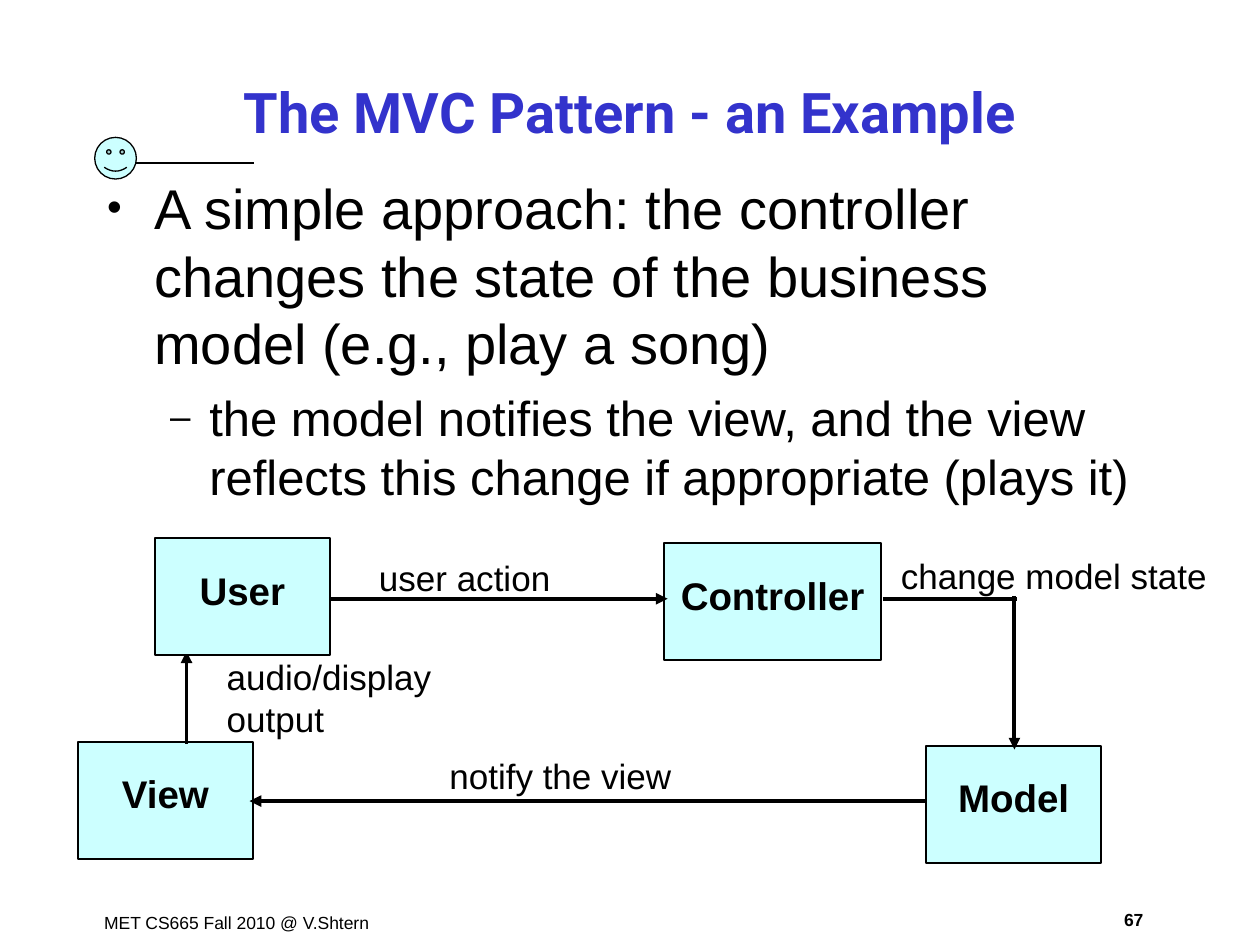
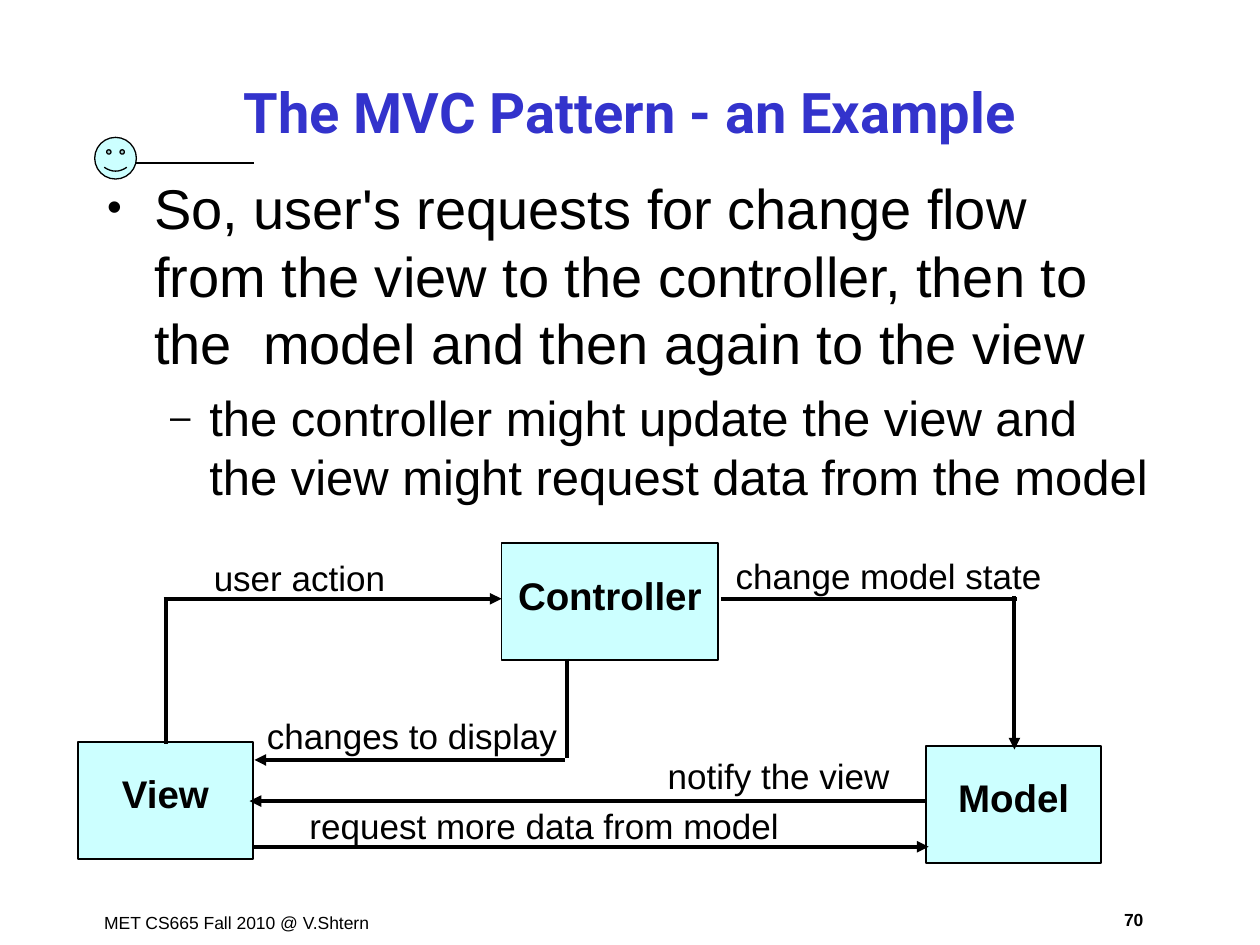
"""Build two slides that explain the MVC pattern with flow diagrams."""
import dataclasses
import typing

import lxml.etree
import pptx
import pptx.dml.color
import pptx.enum.shapes
import pptx.enum.text
import pptx.oxml.ns
import pptx.util

Cm = pptx.util.Cm
Pt = pptx.util.Pt
qn = pptx.oxml.ns.qn
SHAPE = pptx.enum.shapes.MSO_SHAPE
ALIGN = pptx.enum.text.PP_ALIGN
ANCHOR = pptx.enum.text.MSO_ANCHOR

COLORS = {"ink": "000000", "title": "3333CC", "fill": "CCFFFF"}
BODY_FONT = "Arial"
TITLE_FONT = "Roboto"
TITLE = "The MVC Pattern - an Example"
FOOTER = "MET CS665 Fall 2010 @ V.Shtern"
NODE_WIDTH, NODE_HEIGHT = 3.53, 2.36
CONTROLLER_WIDTH = 4.37
LABEL_HEIGHT = 1.12
ACTION_Y = 12.07
NOTIFY_Y = 16.15


@dataclasses.dataclass(frozen=True)
class Node:
    text: str
    left: float
    top: float
    width: float = NODE_WIDTH


@dataclasses.dataclass(frozen=True)
class Flow:
    start: tuple[float, float]
    end: tuple[float, float]
    arrow: bool = True


@dataclasses.dataclass(frozen=True)
class Label:
    text: str
    left: float
    top: float
    width: float
    height: float = LABEL_HEIGHT


@dataclasses.dataclass(frozen=True)
class Bullet:
    level: int
    mark: str
    size: float
    margin: float
    hanging: float
    before: float


@dataclasses.dataclass(frozen=True)
class Page:
    number: str
    points: tuple[str, str]
    diagram: tuple[Node | Flow | Label, ...]


BULLETS = (
    Bullet(0, "\u2022", 32, 0.95, 0.95, 8),
    Bullet(1, "\u2013", 28, 2.06, 0.79, 7),
)
VIEW = Node("View", 1.57, 14.96)
MODEL = Node("Model", 18.67, 15.04)
USER = Node("User", 3.12, 10.85)
MODEL_ENTRY = Flow((20.45, 12.01), (20.45, 15.11))
NOTIFY = Flow((18.67, NOTIFY_Y), (5.03, NOTIFY_Y))


def controller(left: float) -> Node:
    return Node("Controller", left, 10.95, CONTROLLER_WIDTH)


def user_action(left: float) -> Label:
    return Label("user action", left, 11.1, 4.37)


def change_state(left: float) -> Label:
    return Label("change model state", left, 11.05, 7.37)


def notify_view(left: float) -> Label:
    return Label("notify the view", left, 15.09, 5.92)


PAGES = (
    Page(
        "67",
        (
            "A simple approach: the controller changes the state of the "
            "business model (e.g., play a song)",
            "the model notifies the view, and the view reflects this change "
            "if appropriate (plays it)",
        ),
        (
            VIEW,
            controller(13.39),
            MODEL,
            Flow((3.76, 14.99), (3.76, 13.13)),
            Flow((6.63, ACTION_Y), (13.46, ACTION_Y)),
            user_action(7.39),
            Flow((17.81, ACTION_Y), (20.5, ACTION_Y), arrow=False),
            MODEL_ENTRY,
            change_state(17.91),
            NOTIFY,
            notify_view(8.81),
            USER,
            Label("audio/display output", 4.32, 13.08, 5.92, 1.96),
        ),
    ),
    Page(
        "70",
        (
            "So, user's requests for change flow from the view to the "
            "controller, then to the  model and then again to the view",
            "the controller might update the view and the view might request "
            "data from the model",
        ),
        (
            VIEW,
            controller(10.11),
            MODEL,
            Flow((3.35, 14.99), (3.35, ACTION_Y), arrow=False),
            Flow((3.3, ACTION_Y), (10.11, ACTION_Y)),
            user_action(4.06),
            Flow((11.43, 13.28), (11.43, 15.29), arrow=False),
            Flow((11.38, 15.32), (5.13, 15.32)),
            Label("changes to display", 5.13, 14.27, 6.53),
            Flow((14.53, ACTION_Y), (20.5, ACTION_Y), arrow=False),
            MODEL_ENTRY,
            change_state(14.58),
            NOTIFY,
            notify_view(13.21),
            Flow((5.08, 17.07), (18.72, 17.07)),
            Label("request more data from model", 5.99, 16.1, 10.31),
        ),
    ),
)


def rgb(name: str) -> pptx.dml.color.RGBColor:
    return pptx.dml.color.RGBColor.from_string(COLORS[name])


def add_span(para: typing.Any, text: str, size: float, bold: bool = False,
             font: str = BODY_FONT, color: str = "ink") -> None:
    span = para.add_run()
    span.text = text
    span.font.name = font
    span.font.size = Pt(size)
    span.font.bold = bold
    span.font.color.rgb = rgb(color)


def add_textbox(slide: typing.Any, label: Label) -> typing.Any:
    box = slide.shapes.add_textbox(
        Cm(label.left), Cm(label.top), Cm(label.width), Cm(label.height))
    box.text_frame.word_wrap = True
    return box.text_frame


def add_text(slide: typing.Any, label: Label, size: float, before: float,
             bold: bool = False, align: ALIGN = ALIGN.LEFT) -> None:
    para = add_textbox(slide, label).paragraphs[0]
    para.alignment = align
    para.space_before = Pt(before)
    add_span(para, label.text, size, bold)


def add_filled_shape(slide: typing.Any, kind: SHAPE, left: float, top: float,
                     width: float, height: float, weight: float) -> typing.Any:
    shape = slide.shapes.add_shape(kind, Cm(left), Cm(top), Cm(width), Cm(height))
    shape.shadow.inherit = False
    shape.fill.solid()
    shape.fill.fore_color.rgb = rgb("fill")
    shape.line.color.rgb = rgb("ink")
    shape.line.width = Pt(weight)
    return shape


def add_node(slide: typing.Any, node: Node) -> None:
    shape = add_filled_shape(slide, SHAPE.RECTANGLE, node.left, node.top,
                             node.width, NODE_HEIGHT, 1)
    frame = shape.text_frame
    frame.word_wrap = True
    frame.vertical_anchor = ANCHOR.TOP
    frame.margin_top = Cm(0.64)
    para = frame.paragraphs[0]
    para.alignment = ALIGN.CENTER
    para.line_spacing = 0.95
    para.space_before = Pt(5.5)
    add_span(para, node.text, 22, bold=True)


def add_flow(slide: typing.Any, flow: Flow, weight: float = 2.25) -> None:
    line = slide.shapes.add_connector(
        pptx.enum.shapes.MSO_CONNECTOR.STRAIGHT,
        *(Cm(value) for value in flow.start + flow.end))
    line.line.color.rgb = rgb("ink")
    line.line.width = Pt(weight)
    properties = line._element.spPr
    if flow.arrow:
        outline = properties.find(qn("a:ln"))
        lxml.etree.SubElement(outline, qn("a:tailEnd"), type="triangle")
    lxml.etree.SubElement(properties, qn("a:effectLst"))


def add_title(slide: typing.Any) -> None:
    title = slide.shapes.title
    title.left, title.top = Cm(1.91), Cm(1.22)
    title.width, title.height = Cm(21.59), Cm(2.03)
    frame = title.text_frame
    frame.auto_size = pptx.enum.text.MSO_AUTO_SIZE.NONE
    frame.vertical_anchor = ANCHOR.MIDDLE
    para = frame.paragraphs[0]
    para.alignment = ALIGN.CENTER
    add_span(para, TITLE, 32, True, TITLE_FONT, "title")


def add_points(slide: typing.Any, points: tuple[str, str]) -> None:
    frame = add_textbox(slide, Label("", 1.91, 3.38, 21.59, 14.63))
    for index, (text, bullet) in enumerate(zip(points, BULLETS)):
        para = frame.add_paragraph() if index else frame.paragraphs[0]
        para.level = bullet.level
        para.space_before = Pt(bullet.before)
        properties = para._p.get_or_add_pPr()
        properties.set("marL", str(Cm(bullet.margin)))
        properties.set("indent", str(-Cm(bullet.hanging)))
        color = lxml.etree.SubElement(properties, qn("a:buClr"))
        lxml.etree.SubElement(color, qn("a:srgbClr"), val=COLORS["ink"])
        lxml.etree.SubElement(properties, qn("a:buSzPct"), val="75000")
        lxml.etree.SubElement(properties, qn("a:buFont"), typeface=BODY_FONT)
        lxml.etree.SubElement(properties, qn("a:buChar"), char=bullet.mark)
        add_span(para, text, bullet.size)


def add_frame(slide: typing.Any, number: str) -> None:
    add_text(slide, Label(FOOTER, 1.85, 18.26, 6.12, 0.69), 10, 6.2)
    add_text(slide, Label(number, 22.17, 18.19, 1.37, 0.69), 10, 6.2,
             bold=True, align=ALIGN.CENTER)
    smiley = add_filled_shape(slide, SHAPE.SMILEY_FACE, 1.91, 2.77, 0.84, 0.84, 0.75)
    smiley.adjustments[0] = 0.05
    add_flow(slide, Flow((2.74, 3.28), (5.13, 3.28), arrow=False), weight=1)


def add_page(deck: typing.Any, page: Page) -> None:
    slide = deck.slides.add_slide(deck.slide_layouts[5])
    add_frame(slide, page.number)
    add_title(slide)
    add_points(slide, page.points)
    for item in page.diagram:
        if isinstance(item, Node):
            add_node(slide, item)
        elif isinstance(item, Flow):
            add_flow(slide, item)
        else:
            add_text(slide, item, 20, 12.5)


def main() -> None:
    deck = pptx.Presentation()
    deck.slide_width, deck.slide_height = Cm(25.4), Cm(19.05)
    for page in PAGES:
        add_page(deck, page)
    deck.save("out.pptx")


main()
